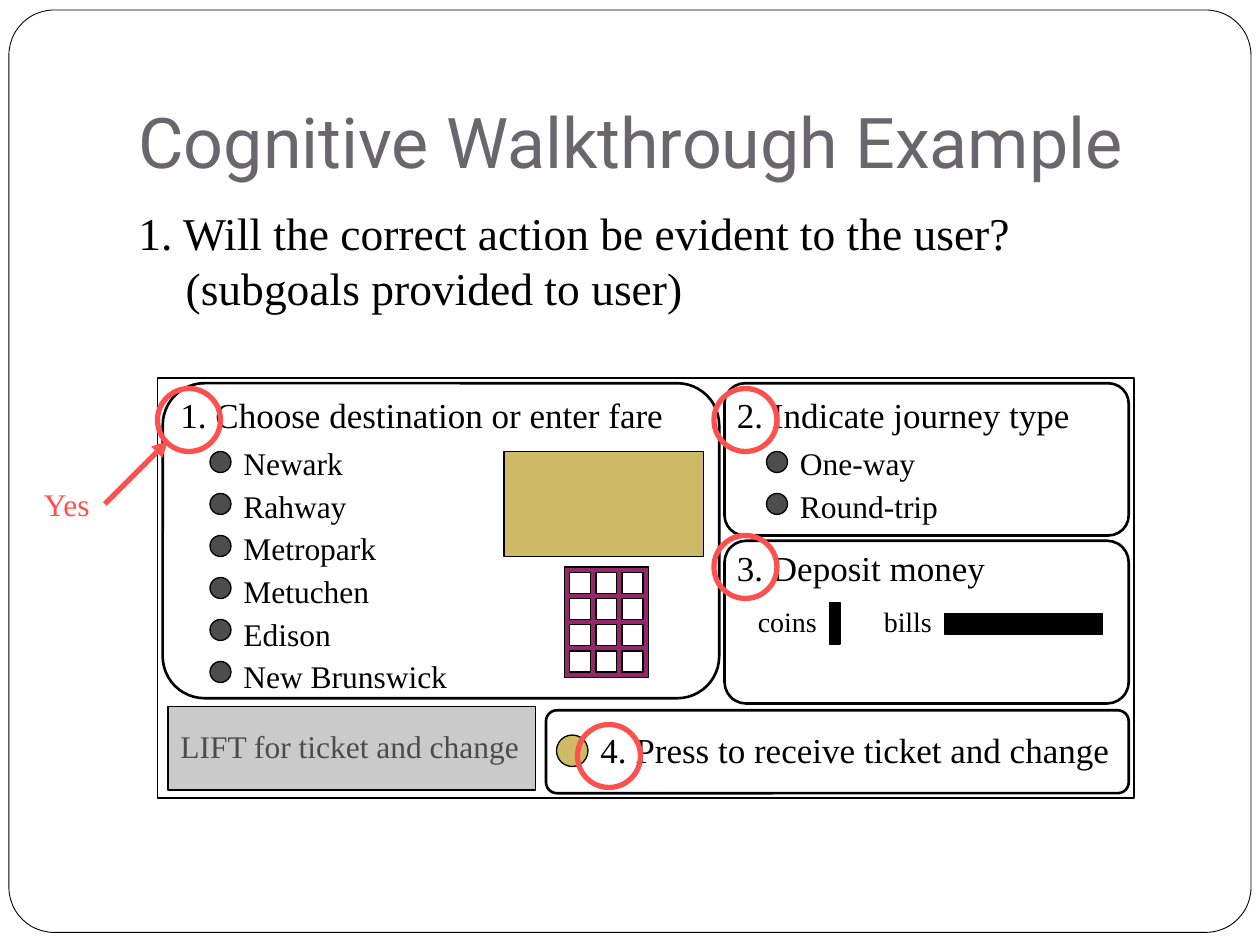
from dataclasses import dataclass
from itertools import product

from lxml import etree
from pptx import Presentation
from pptx.dml.color import RGBColor
from pptx.enum.shapes import MSO_CONNECTOR, MSO_SHAPE
from pptx.enum.text import MSO_ANCHOR
from pptx.oxml.ns import qn
from pptx.util import Inches, Pt

RECT = MSO_SHAPE.RECTANGLE
ROUND = MSO_SHAPE.ROUNDED_RECTANGLE
OVAL = MSO_SHAPE.OVAL
STRAIGHT = MSO_CONNECTOR.STRAIGHT
TOP = MSO_ANCHOR.TOP
BASE = MSO_ANCHOR.BOTTOM


@dataclass(frozen=True)
class Theme:
    """Colours, fonts and type sizes of the slide."""
    ink: str = "000000"
    paper: str = "FFFFFF"
    slate: str = "69676D"
    red: str = "FF5050"
    gold: str = "CEB966"
    plum: str = "932968"
    dark: str = "4D4D4D"
    grey: str = "969696"
    sans: str = "Roboto"
    serif: str = "Times New Roman"
    title: int = 40
    body: int = 26
    head: int = 20
    item: int = 18
    small: int = 16


class Board:
    """Draws on one slide, on a grid of 240 columns by 180 rows."""

    def __init__(self, theme):
        self.theme = theme
        self.deck = Presentation()
        self.deck.slide_width = Inches(10)
        self.deck.slide_height = Inches(7.5)
        self.slide = self.deck.slides.add_slide(self.deck.slide_layouts[6])
        self.home = self.slide.shapes

    def span(self, *cells):
        """Turn grid cells into lengths."""
        return [Inches(cell / 24) for cell in cells]

    def shape(self, kind, box, fill=None, line=None, width=0.75, bend=None, alpha=None):
        """Add a preset shape."""
        form = self.home.add_shape(kind, *self.span(*box))
        form.shadow.inherit = False
        if bend is not None:
            form.adjustments[0] = bend
        if fill:
            form.fill.solid()
            form.fill.fore_color.rgb = RGBColor.from_string(fill)
        else:
            form.fill.background()
        if alpha:
            tint = form.fill._xPr.find(qn("a:solidFill"))[0]
            etree.SubElement(tint, qn("a:alpha")).set("val", str(alpha * 1000))
        form.line.color.rgb = RGBColor.from_string(line or self.theme.ink)
        form.line.width = Pt(width)
        return form

    def panel(self, *box):
        """Add a rounded outline."""
        self.shape(ROUND, box, width=1.5, bend=0.133)

    def dots(self, left, count):
        """Add a column of choice buttons."""
        for row in range(count):
            self.shape(OVAL, (left, 86 + 8 * row, 4, 4), self.theme.dark)

    def ring(self, left, top):
        """Add a red marker ring."""
        self.shape(OVAL, (left, top, 12, 12), line=self.theme.red, width=3)

    def keypad(self, left, top):
        """Add a group of twelve keys on a plate."""
        self.home = self.slide.shapes.add_group_shape().shapes
        self.shape(RECT, (left, top, 16, 21), self.theme.plum)
        for row, col in product(range(4), range(3)):
            key = (left + 1 + 5 * col, top + 1 + 5 * row, 4, 4)
            self.shape(RECT, key, self.theme.paper)
        self.home = self.slide.shapes

    def text(self, box, words, size, color=None, font=None, hang=0, items=(), anchor=TOP, foot=0.05):
        """Add a heading, with items indented below it."""
        frame = self.home.add_textbox(*self.span(*box)).text_frame
        frame.word_wrap = True
        frame.vertical_anchor = anchor
        frame.margin_bottom = Inches(foot)
        for rank, line in enumerate((words, *items)):
            para = frame.paragraphs[0] if rank == 0 else frame.add_paragraph()
            para.text = line
            if hang:
                edge = self.span(hang)[0]
                props = para._p.get_or_add_pPr()
                props.set("marL", str(edge))
                props.set("indent", str(0 if rank else -edge))
            if rank:
                para.space_before = Pt(5 if rank == 1 else 2.8)
            para.font.size = Pt(self.theme.item if rank else size)
            para.font.name = font or self.theme.serif
            para.font.color.rgb = RGBColor.from_string(color or self.theme.ink)

    def arrow(self, *ends):
        """Add a red arrow."""
        link = self.home.add_connector(STRAIGHT, *self.span(*ends))
        link.line.color.rgb = RGBColor.from_string(self.theme.red)
        link.line.width = Pt(3)
        props = link._element.spPr
        etree.SubElement(props.find(qn("a:ln")), qn("a:tailEnd")).set("type", "triangle")
        etree.SubElement(props, qn("a:effectLst"))


def main():
    """Build and save the slide."""
    look = Theme()
    board = Board(look)
    board.shape(ROUND, (1.7, 1.9, 236.6, 175.7), look.paper, width=0.5, bend=0.049)
    board.text((24, 7.2, 204, 30), "Cognitive Walkthrough Example", look.title,
               look.slate, look.sans, anchor=BASE, foot=0.1)
    board.text((24, 37.9, 204, 120),
               "1. Will the correct action be evident to the user? (subgoals provided to user)",
               look.body, hang=9)
    board.shape(RECT, (30, 72, 186, 80), look.paper)

    towns = ("Newark", "Rahway", "Metropark", "Metuchen", "Edison", "New Brunswick")
    board.text((32, 73.7, 108, 58.8), "1. Choose destination or enter fare",
               look.head, hang=12, items=towns)
    board.shape(RECT, (96, 86, 38, 20), look.gold)
    board.keypad(107.5, 108)
    board.dots(40, len(towns))
    board.panel(31, 73, 106, 60)

    trips = ("One-way", "Round-trip")
    board.panel(138, 73, 77, 29)
    board.text((138, 73.7, 76, 27), "2. Indicate journey type",
               look.head, hang=12, items=trips)
    board.dots(146, len(trips))

    board.panel(138, 103, 77, 31)
    board.text((138, 103, 76, 10.3), "3. Deposit money", look.head, hang=12)
    board.shape(RECT, (158, 114.7, 2, 8), look.ink)
    for left, word in ((142, "coins"), (166, "bills")):
        board.text((left, 114, 22, 9), word, look.small)
    board.shape(RECT, (180, 116.9, 30, 4), look.ink)

    board.panel(104, 135.3, 111, 15.8)
    board.text((112, 137.5, 102, 10.3), "4. Press to receive ticket and change",
               look.head, hang=12)
    board.shape(OVAL, (106, 140, 6, 6), look.gold)
    board.text((32, 137.3, 70, 9.6), "LIFT for ticket and change", look.item)
    board.shape(RECT, (32, 134.5, 70, 16), look.grey, alpha=50)

    board.text((6, 91.2, 20, 12), "Yes", look.item, look.red)
    board.arrow(20, 96, 32, 84)
    for left, top in ((30, 74), (136, 74), (136, 102), (110, 138)):
        board.ring(left, top)
    board.deck.save("out.pptx")


if __name__ == "__main__":
    main()
